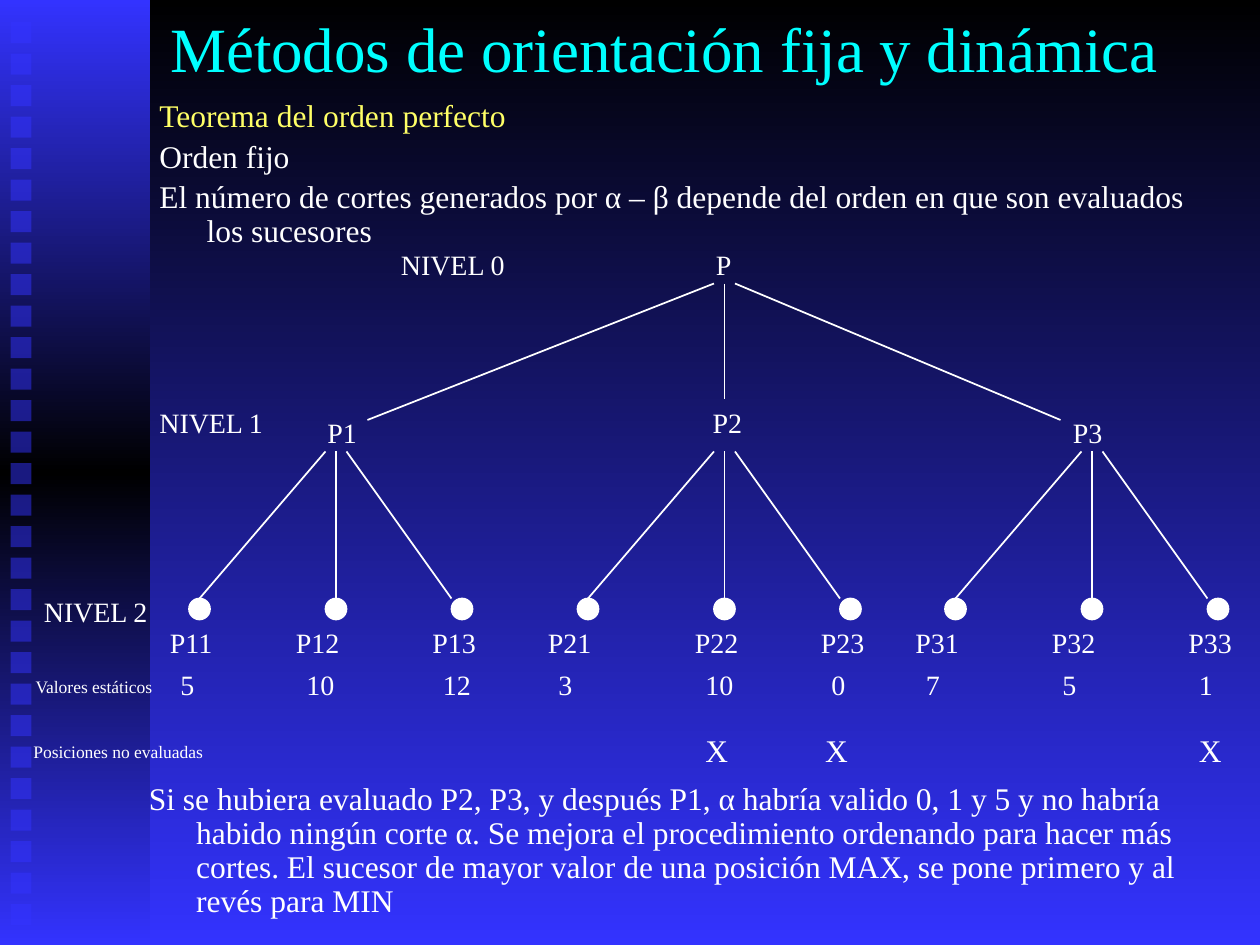
from lxml.etree import SubElement as Sub
from pptx import Presentation
from pptx.dml.color import RGBColor as Rgb
from pptx.enum.shapes import MSO_CONNECTOR as Conn, MSO_SHAPE as Kind
from pptx.enum.text import MSO_ANCHOR as Anchor, MSO_AUTO_SIZE as Fit, PP_ALIGN as Align
from pptx.oxml.ns import qn
from pptx.util import Pt

PX = 7620  # 120 px to the inch
FONT = "Times New Roman"
INK = {"white": "FFFFFF", "blue": "3333FF", "black": "000000",
       "cyan": "00FFFF", "yellow": "FFFF66"}


def grade(fill, root, names):
    """Fill from top to bottom with evenly spaced colours."""
    fill.gradient()
    fill.gradient_angle = 270
    stops = next(root.iter(qn("a:gsLst")))
    for old in list(stops):
        stops.remove(old)
    for i, name in enumerate(names):
        stop = Sub(stops, qn("a:gs"), pos=str(100000 * i // (len(names) - 1)))
        Sub(stop, qn("a:srgbClr"), val=INK[name])


def write(x, y, w, h, text, size=16, wrap=False, fit=Fit.SHAPE_TO_FIT_TEXT):
    box = slide.shapes.add_textbox(x * PX, y * PX, w * PX, h * PX)
    frame = box.text_frame
    frame.text = text
    frame.word_wrap = wrap
    frame.auto_size = fit
    for para in frame.paragraphs:
        for run in para.runs:
            run.font.name = FONT
            run.font.size = Pt(size)
            run.font.color.rgb = Rgb.from_string(INK["white"])
    return frame


deck = Presentation()
deck.slide_width, deck.slide_height = 1200 * PX, 900 * PX
slide = deck.slides.add_slide(deck.slide_layouts[5])
grade(slide.background.fill, slide._element, ["black", "blue"])

# Side band with its column of squares
band = slide.shapes.add_shape(Kind.RECTANGLE, 0, 0, 143 * PX, 900 * PX)
band.shadow.inherit = False
band.line.fill.background()
grade(band.fill, band._element, ["blue", "black", "blue"])
for i in range(29):
    tile = slide.shapes.add_shape(
        Kind.RECTANGLE, 10 * PX, (21 + 30 * i) * PX, 20 * PX, 20 * PX)
    tile.shadow.inherit = False
    tile.line.fill.background()
    tile.fill.solid()
    tile.fill.fore_color.rgb = Rgb.from_string(INK["blue"])
    tint = next(tile._element.spPr.iter(qn("a:srgbClr")))
    Sub(tint, qn("a:alpha"), val="50000")

# Title
title = slide.shapes.title
title.left, title.top, title.width, title.height = 150 * PX, 0, 1020 * PX, 90 * PX
frame = title.text_frame
frame.text = "Métodos de orientación fija y dinámica"
frame.auto_size = Fit.NONE
frame.vertical_anchor = Anchor.MIDDLE
head = frame.paragraphs[0]
head.alignment = Align.LEFT
font = head.runs[0].font
font.name, font.size = FONT, Pt(36)
font.color.rgb = Rgb.from_string(INK["cyan"])

# Text above and below the tree
intro = write(140, 90, 1020, 170, "\n".join([
    "Teorema del orden perfecto",
    "Orden fijo",
    "El número de cortes generados por α – β depende del orden en que son "
    "evaluados los sucesores"]), 18, True, Fit.NONE)
intro.paragraphs[0].runs[0].font.color.rgb = Rgb.from_string(INK["yellow"])
close = write(
    130, 740, 1020, 130,
    "Si se hubiera evaluado P2, P3, y después P1, α habría valido 0, 1 y 5 y no "
    "habría habido ningún corte α. Se mejora el procedimiento ordenando para "
    "hacer más cortes. El sucesor de mayor valor de una posición MAX, se pone "
    "primero y al revés para MIN", 18, True, Fit.NONE)
for frame in (intro, close):
    for i, para in enumerate(frame.paragraphs):
        para.line_spacing = 0.9
        para.space_before = Pt(3.6 if i else 0)
        props = para._p.get_or_add_pPr()
        props.set("marL", str(45 * PX))
        props.set("indent", str(-45 * PX))

# Tree: branches and leaf dots
mids = [320, 690, 1040]
lines = [(680, 270, 350, 400), (690, 270, 690, 380), (700, 270, 1010, 400)]
for mid in mids:
    for near, far, dot in [(-10, -130, -130), (0, 0, 0), (10, 110, 120)]:
        lines.append((mid + near, 430, mid + far, 570))
        leaf = slide.shapes.add_shape(
            Kind.OVAL, (mid + dot - 10) * PX, 570 * PX, 20 * PX, 20 * PX)
        leaf.shadow.inherit = False
        leaf.fill.solid()
        leaf.fill.fore_color.rgb = Rgb.from_string(INK["white"])
        leaf.line.color.rgb = Rgb.from_string(INK["white"])
        leaf.line.width = Pt(1)
for ends in lines:
    edge = slide.shapes.add_connector(Conn.STRAIGHT, *[n * PX for n in ends])
    edge.line.color.rgb = Rgb.from_string(INK["white"])
    edge.line.width = Pt(1)
    Sub(edge._element.spPr, qn("a:effectLst"))

# Tree: names, levels and values
write(670, 230, 38, 44, "P")
for x, y, name in [(300, 390, "P1"), (667, 380, "P2"), (1010, 390, "P3")]:
    write(x, y, 53, 44, name)
for i, (x, y) in enumerate([(370, 230), (140, 380), (30, 560)]):
    write(x, y, 124, 44, f"NIVEL {i}")
leaves = [(150, 5), (270, 10), (400, 12), (510, 3), (650, 10), (770, 0),
          (860, 7), (990, 5), (1120, 1)]
for i, (x, value) in enumerate(leaves):
    write(x, 590, 66, 44, f"P{i // 3 + 1}{i % 3 + 1}")
    write(x + 10, 630, 70, 44, str(value), wrap=True)
write(22, 638, 138, 32, "Valores estáticos", 10)
write(20, 700, 186, 32, "Posiciones no evaluadas", 10)
for x in (660, 774, 1130):
    write(x, 690, 46, 48, "X", 18)

deck.save("out.pptx")
